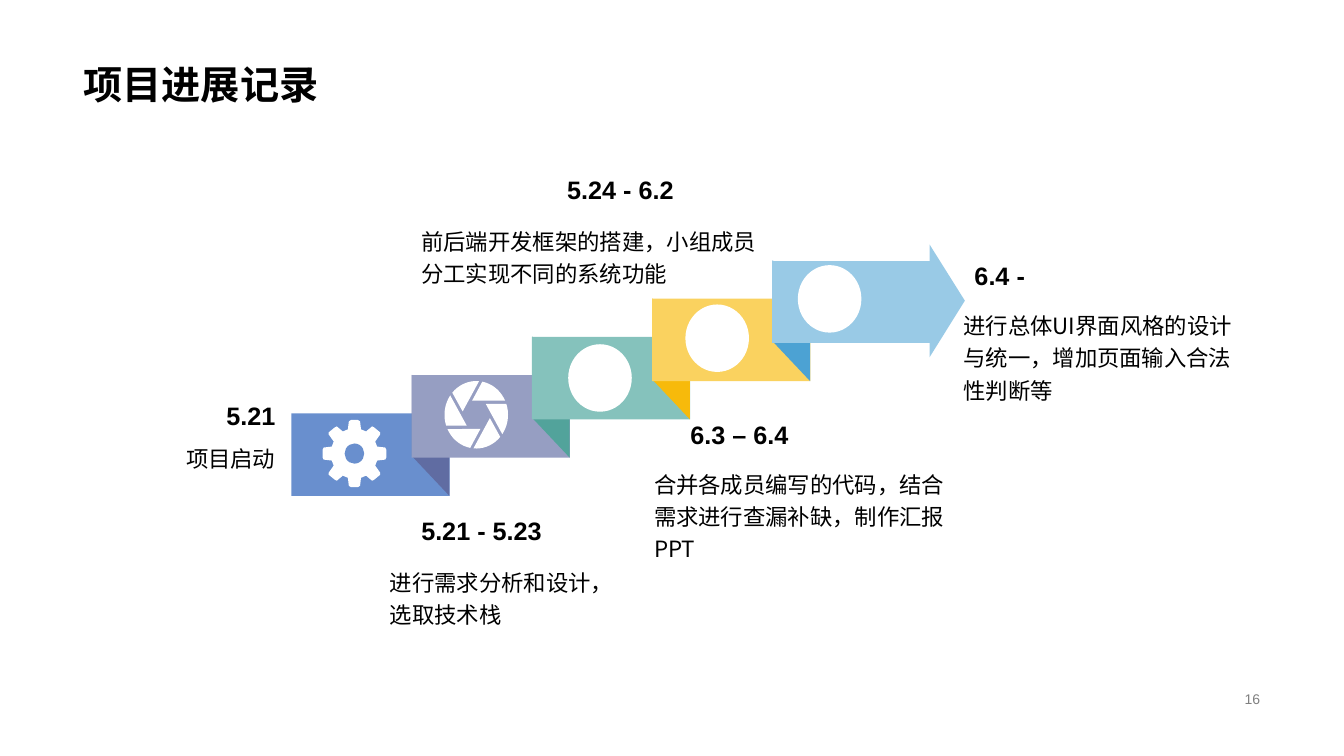
import math

import lxml.etree
import pptx
import pptx.dml.color
import pptx.enum.shapes
import pptx.enum.text
import pptx.oxml.ns
import pptx.util

Pt = pptx.util.Pt
SHAPES = pptx.enum.shapes.MSO_SHAPE
ANCHOR = pptx.enum.text.MSO_ANCHOR
LEFT = pptx.enum.text.PP_ALIGN.LEFT
RIGHT = pptx.enum.text.PP_ALIGN.RIGHT

THEME = {
    "latin": "Arial",
    "chinese": "Noto Sans CJK SC",
    "title": {"size": 28, "color": "000000", "bold": True},
    "date": {"size": 18, "color": "000000", "bold": True},
    "note": {"size": 16, "color": "000000", "bold": False},
    "number": {"size": 10, "color": "808080", "bold": False},
    "steps": ["698FCE", "969EC2", "85C2BC", "FAD25F"],
    "folds": ["606CA2", "52A39B", "F7BA0B", "4CA2D3"],
    "arrow": "99CAE6",
    "icon": "FFFFFF",
}

deck = pptx.Presentation()
deck.slide_width, deck.slide_height = Pt(960), Pt(540)
page = deck.slides.add_slide(deck.slide_layouts[6])


def paint(shape, color):
    shape.shadow.inherit = False
    shape.fill.solid()
    shape.fill.fore_color.rgb = pptx.dml.color.RGBColor.from_string(color)
    shape.line.fill.background()


def add_text(words, place, style, anchor, align, spacing, latin):
    box = page.shapes.add_textbox(*[Pt(value) for value in place])
    frame = box.text_frame
    para = frame.paragraphs[0]
    span = para.add_run()
    look = THEME[style]
    formats = [
        (frame, {"word_wrap": True, "vertical_anchor": anchor}),
        (para, {"alignment": align, "line_spacing": spacing}),
        (span, {"text": words}),
        (span.font, {"name": latin, "size": Pt(look["size"]), "bold": look["bold"]}),
    ]
    for target, values in formats:
        for name, value in values.items():
            setattr(target, name, value)
    span.font.color.rgb = pptx.dml.color.RGBColor.from_string(look["color"])
    east = lxml.etree.SubElement(span.font._element, pptx.oxml.ns.qn("a:ea"))
    east.set("typeface", THEME["chinese"])


add_text("项目进展记录", (52.6, 0, 854.6, 80.6), "title", ANCHOR.BOTTOM, LEFT, 0.9, THEME["latin"])
add_text("16", (678.2, 491, 229, 16.6), "number", ANCHOR.MIDDLE, RIGHT, 1.0, THEME["latin"])

stages = [
    ("5.21", (0, 278.6, 203.8, 32.4), RIGHT,
     "项目启动", (0, 302.4, 203.8, 46), RIGHT),
    ("5.21 - 5.23", (293.8, 360.7, 212.4, 32.4), LEFT,
     "进行需求分析和设计，选取技术栈", (271.4, 396.7, 182.9, 57.6), LEFT),
    ("5.24 - 6.2", (275.8, 117.4, 212.4, 32.4), RIGHT,
     "前后端开发框架的搭建，小组成员分工实现不同的系统功能", (293.8, 159.1, 259.9, 46), LEFT),
    ("6.3 – 6.4", (486, 292.3, 212.4, 32.4), LEFT,
     "合并各成员编写的代码，结合需求进行查漏补缺，制作汇报PPT", (460.1, 344.9, 232.6, 44), LEFT),
    ("6.4 -", (689, 178.6, 212.4, 32.4), LEFT,
     "进行总体UI界面风格的设计与统一，增加页面输入合法性判断等", (681.1, 231.8, 212.4, 44), LEFT),
]
for date, date_place, date_align, note, note_place, note_align in stages:
    add_text(date, date_place, "date", ANCHOR.BOTTOM, date_align, 1.0, THEME["latin"])
    add_text(note, note_place, "note", ANCHOR.MIDDLE, note_align, 1.2, THEME["chinese"])

for index, (step_color, fold_color) in enumerate(zip(THEME["steps"], THEME["folds"])):
    left, top = 208.2 + 85.9 * index, 295.2 - 27.3 * index
    step = page.shapes.add_shape(SHAPES.RECTANGLE, Pt(left), Pt(top), Pt(113), Pt(59))
    paint(step, step_color)
    fold = page.shapes.add_shape(
        SHAPES.PARALLELOGRAM, Pt(left + 56.2), Pt(top + 2.4), Pt(86.4), Pt(26.8))
    fold.rotation = 90
    fold.adjustments[0] = 1.06
    paint(fold, fold_color)

arrow_outline = [(664, 174.6), (689.2, 214.8), (664, 255.2), (664, 245),
                 (551.5, 245), (551.5, 186.5), (664, 186.5)]

gear_x, gear_y = 253.2, 324
gear_quarter = [(2.5, 24), (4, 23), (4.7, 17.3), (8.3, 15.8), (12.6, 19.4), (14, 18.7),
                (18.4, 15.1), (18.4, 13.7), (14.8, 8.6), (16.2, 5), (22, 4.3), (22.7, 2.9)]
gear_outline = []
for side_x, side_y, order in [(1, -1, 1), (1, 1, -1), (-1, 1, 1), (-1, -1, -1)]:
    gear_outline += [(gear_x + side_x * x, gear_y + side_y * y) for x, y in gear_quarter[::order]]

radius_x, radius_y = 22.7, 24.1
shutter_blades = []
for turn in range(0, 360, 60):
    polar = [(angle + turn, 1) for angle in range(221, 276, 6)] + [(193 + turn, 0.44)]
    shutter_blades.append([
        (340.2 + radius_x * reach * math.cos(math.radians(angle)),
         296.3 + radius_y * reach * math.sin(math.radians(angle)))
        for angle, reach in polar])

drawings = [([arrow_outline], THEME["arrow"]), ([gear_outline], THEME["icon"]),
            (shutter_blades, THEME["icon"])]
for outlines, color in drawings:
    builder = None
    for outline in outlines:
        points = [(Pt(x), Pt(y)) for x, y in outline]
        if builder is None:
            builder = page.shapes.build_freeform(*points[0])
        else:
            builder.move_to(*points[0])
        builder.add_line_segments(points[1:], close=True)
    paint(builder.convert_to_shape(), color)

discs = [
    (gear_x, gear_y, 7, 7.2, THEME["steps"][0]),
    (428.6, 270, radius_x, radius_y, THEME["icon"]),
    (512.3, 241.6, radius_x, radius_y, THEME["icon"]),
    (592.6, 213.5, radius_x, radius_y, THEME["icon"]),
]
for center_x, center_y, wide, high, color in discs:
    disc = page.shapes.add_shape(
        SHAPES.OVAL, Pt(center_x - wide), Pt(center_y - high), Pt(2 * wide), Pt(2 * high))
    paint(disc, color)

deck.save("out.pptx")
